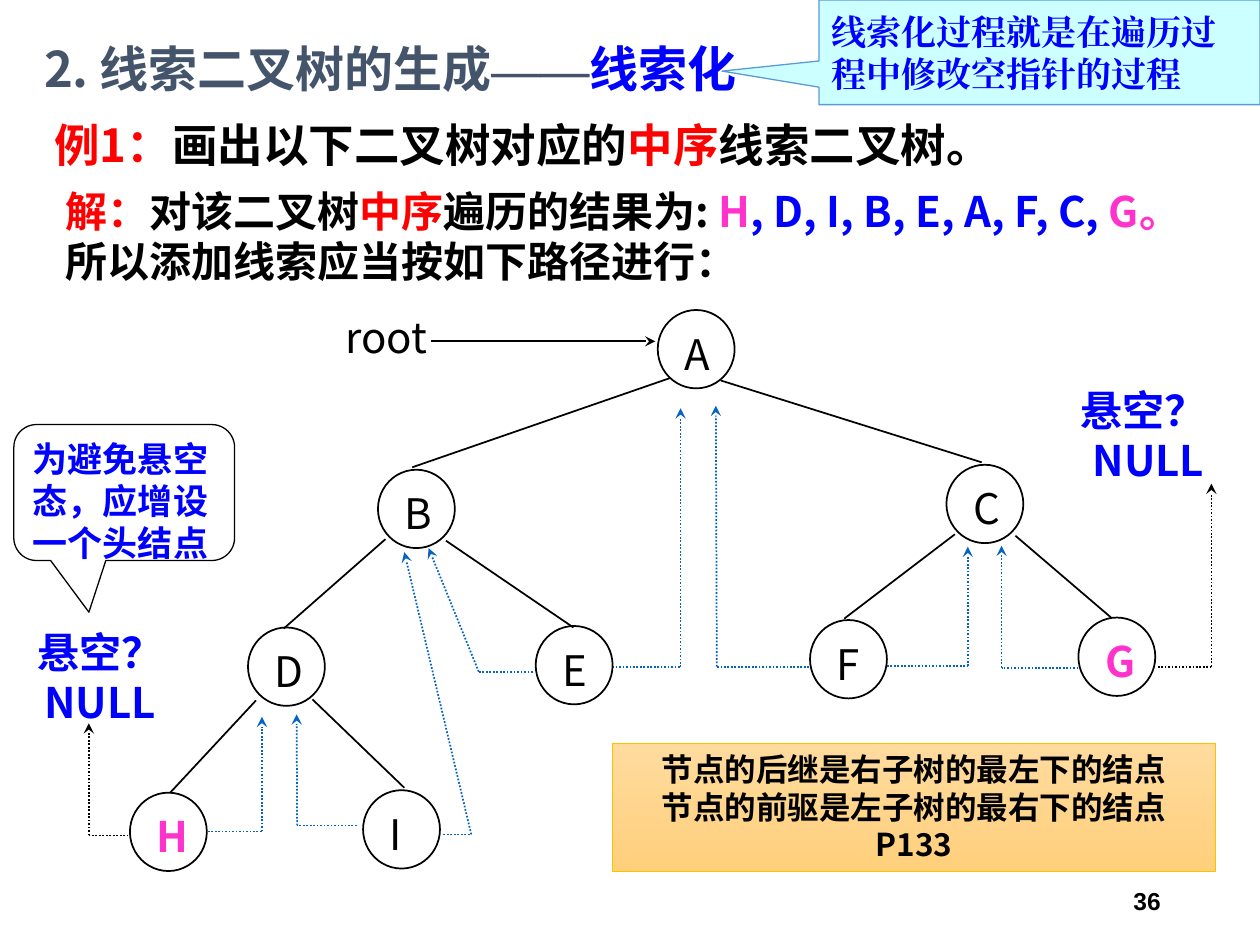
from dataclasses import dataclass

from lxml import etree
from pptx import Presentation
from pptx.dml.color import RGBColor
from pptx.enum.dml import MSO_LINE
from pptx.enum.shapes import MSO_CONNECTOR, MSO_SHAPE
from pptx.enum.text import MSO_ANCHOR, MSO_AUTO_SIZE, PP_ALIGN
from pptx.oxml.ns import qn
from pptx.util import Cm, Pt

STRAIGHT = MSO_CONNECTOR.STRAIGHT
DOTTED = MSO_LINE.ROUND_DOT
OVAL, RECTANGLE = MSO_SHAPE.OVAL, MSO_SHAPE.RECTANGLE
ROUND_CALLOUT = MSO_SHAPE.ROUNDED_RECTANGULAR_CALLOUT
RECT_CALLOUT = MSO_SHAPE.RECTANGULAR_CALLOUT
TOP, MIDDLE = MSO_ANCHOR.TOP, MSO_ANCHOR.MIDDLE
LEFT, CENTER, RIGHT = PP_ALIGN.LEFT, PP_ALIGN.CENTER, PP_ALIGN.RIGHT
FIT_SHAPE = MSO_AUTO_SIZE.SHAPE_TO_FIT_TEXT


@dataclass(frozen=True)
class Theme:
    black: str = "000000"
    white: str = "FFFFFF"
    red: str = "FF0000"
    blue: str = "0000FF"
    pink: str = "FF33CC"
    slate: str = "44546A"
    thread: str = "0563C1"
    aqua: str = "CCFFFF"
    aqua_edge: str = "5B9BD5"
    sand_light: str = "FFDB9E"
    sand_dark: str = "FFD07C"
    sand_edge: str = "FFC000"
    heading: int = 28
    example: int = 26
    body: int = 24
    callout: int = 20
    rule: int = 18
    number: int = 14
    sans: str = "Noto Sans CJK SC"
    serif: str = "Times New Roman"
    arial: str = "Arial"


theme = Theme()


def write(shape, paragraphs, size, align=LEFT, anchor=TOP, bold=True, font=theme.sans):
    """Fill a shape with paragraphs, each a list of (text, colour[, font]) runs."""
    frame = shape.text_frame
    frame.word_wrap = True
    frame.vertical_anchor = anchor
    for index, pieces in enumerate(paragraphs):
        paragraph = frame.paragraphs[0] if index == 0 else frame.add_paragraph()
        paragraph.alignment = align
        for text, color, *own_font in pieces:
            run = paragraph.add_run()
            run.text = text
            run.font.size, run.font.bold = Pt(size), bold
            run.font.color.rgb = RGBColor.from_string(color)
            run.font.name = own_font[0] if own_font else font
            east_asian = etree.SubElement(run.font._element, qn("a:ea"))
            east_asian.set("typeface", run.font.name)
    return frame


def connect(x1, y1, x2, y2, color=theme.black, dotted=False, arrow=False):
    connector = slide.shapes.add_connector(STRAIGHT, Cm(x1), Cm(y1), Cm(x2), Cm(y2))
    connector.line.color.rgb = RGBColor.from_string(color)
    connector.line.width = Pt(1)
    if dotted:
        connector.line.dash_style = DOTTED
    if arrow:
        etree.SubElement(connector.line._get_or_add_ln(), qn("a:tailEnd")).set("type", "stealth")
    etree.SubElement(connector._element.spPr, qn("a:effectLst"))


prs = Presentation()
prs.slide_width, prs.slide_height = Cm(25.4), Cm(19.05)
slide = prs.slides.add_slide(prs.slide_layouts[6])
shapes = slide.shapes

# Example question and slide number
question = shapes.add_textbox(Cm(0.84), Cm(2.34), Cm(21.59), Cm(1.27))
question_frame = write(question, [[
    ("例1：", theme.red), ("画出以下二叉树对应的", theme.black),
    ("中序", theme.red), ("线索二叉树。", theme.black),
]], theme.example, anchor=MIDDLE)
question_frame.paragraphs[0].line_spacing = 0.9

page = shapes.add_textbox(Cm(17.93), Cm(17.65), Cm(5.72), Cm(1.02))
write(page, [[("36", theme.black)]], theme.number, RIGHT, MIDDLE, font=theme.arial)

# Threads: start x, level y, turn x, tip x, tip y, colour
threads = [
    (8.94, 16.82, 9.5, 8.15, 11.13, theme.thread),     # I to B
    (10.74, 13.54, 9.65, 8.64, 11.05, theme.thread),   # E to B
    (7.19, 16.64, 5.99, 5.98, 14.4, theme.thread),     # I to D
    (4.19, 16.76, 5.28, 5.28, 14.45, theme.thread),    # H to D
    (16.31, 13.44, 14.45, 14.43, 8.18, theme.thread),  # F to A
    (21.74, 13.46, 20.19, 20.19, 11, theme.thread),    # G to C
    (12.34, 13.45, 13.72, 13.72, 8.23, theme.thread),  # E to A
    (17.88, 13.43, 19.51, 19.51, 11.02, theme.thread), # F to C
    (2.59, 16.84, 1.79, 1.79, 14.58, theme.black),     # H to NULL
    (23.34, 13.44, 24.42, 24.42, 9.75, theme.black),   # G to NULL
]
for start_x, level, turn_x, tip_x, tip_y, color in threads:
    connect(start_x, level, turn_x, level, color, dotted=True)
    connect(turn_x, level, tip_x, tip_y, color, dotted=True, arrow=True)

# Tree nodes, with the first and last in order marked in pink
nodes = {
    "A": (13.26, 6.25), "B": (7.62, 9.47), "C": (19.08, 9.37),
    "D": (5, 12.65), "E": (10.8, 12.62), "F": (16.33, 12.5),
    "G": (21.74, 12.45), "H": (2.62, 15.98), "I": (7.32, 15.93),
}
for letter, (x, y) in nodes.items():
    circle = shapes.add_shape(OVAL, Cm(x), Cm(y), Cm(1.55), Cm(1.58))
    circle.shadow.inherit = False
    circle.fill.background()
    circle.line.color.rgb = RGBColor.from_string(theme.black)
    circle.line.width = Pt(1)
    label = shapes.add_textbox(Cm(x + 0.29), Cm(y + 0.24), Cm(0.94), Cm(1.3))
    is_end = letter in "HG"
    label_frame = write(label, [[(letter, theme.pink if is_end else theme.black)]],
                        theme.body, bold=is_end)
    label_frame.word_wrap = False
    label_frame.auto_size = FIT_SHAPE

# Tree branches
branches = [
    (13.51, 7.62, 8.31, 9.42), (14.53, 7.67, 19.79, 9.32),
    (7.77, 10.87, 5.72, 12.67), (8.99, 10.9, 11.56, 12.65),
    (19.25, 10.77, 17.02, 12.47), (20.47, 10.8, 22.4, 12.45),
    (5.16, 14.12, 3.43, 15.98), (6.3, 14.1, 8.15, 15.88),
]
for branch in branches:
    connect(*branch)

# Root pointer
connect(8.69, 6.88, 13.21, 6.88, arrow=True)
root = shapes.add_textbox(Cm(6.71), Cm(6.15), Cm(2.24), Cm(1.3))
root_frame = write(root, [[("root", theme.black)]], theme.body, bold=False)
root_frame.word_wrap = False

# Dangling ends
for x, y, width in [(0.43, 12.5, 3.18), (20.9, 7.62, 4.5)]:
    dangling = shapes.add_textbox(Cm(x), Cm(y), Cm(width), Cm(2.31))
    write(dangling, [[("悬空？ ", theme.blue)], [("NULL", theme.blue)]], theme.body, CENTER)

# Answer
answer = shapes.add_textbox(Cm(1.07), Cm(3.61), Cm(23.7), Cm(2.31))
write(answer, [[
    ("解：", theme.red), ("对该二叉树", theme.black), ("中序", theme.red),
    ("遍历的结果为: ", theme.black), ("H", theme.pink),
    (", D, I, B, E, A, F, C,", theme.blue), (" G。", theme.pink),
    ("所以添加线索应当按如下路径进行：", theme.black),
]], theme.body)

# Heading
heading = shapes.add_textbox(Cm(0.64), Cm(0.64), Cm(15.44), Cm(1.47))
write(heading, [[
    ("2. 线索二叉树的生成", theme.slate), ("——", theme.slate, theme.serif),
    ("线索化", theme.blue),
]], theme.heading, anchor=MIDDLE)

# Callouts: preset, box, pointer, fill, edge, text, anchor, font
callouts = [
    (ROUND_CALLOUT, (0.28, 8.56, 4.45, 2.74), (-0.16, 0.88), theme.white, theme.black,
     "为避免悬空态，应增设一个头结点", TOP, theme.sans),
    (RECT_CALLOUT, (16.51, 0, 8.89, 2.11), (-0.72, 0.18), theme.aqua, theme.aqua_edge,
     "线索化过程就是在遍历过程中修改空指针的过程", MIDDLE, theme.serif),
]
for preset, box, pointer, fill, edge, text, anchor, font in callouts:
    callout = shapes.add_shape(preset, *map(Cm, box))
    callout.shadow.inherit = False
    callout.adjustments[0], callout.adjustments[1] = pointer
    callout.fill.solid()
    callout.fill.fore_color.rgb = RGBColor.from_string(fill)
    callout.line.color.rgb = RGBColor.from_string(edge)
    callout.line.width = Pt(0.75)
    write(callout, [[(text, theme.blue)]], theme.callout, anchor=anchor, font=font)

# Rule for successor and predecessor
rule = shapes.add_shape(RECTANGLE, Cm(12.34), Cm(14.99), Cm(12.17), Cm(2.57))
rule.shadow.inherit = False
rule.fill.gradient()
rule.fill.gradient_angle = 270
for stop, color in zip(rule.fill.gradient_stops, (theme.sand_light, theme.sand_dark)):
    stop.color.rgb = RGBColor.from_string(color)
rule.line.color.rgb = RGBColor.from_string(theme.sand_edge)
rule.line.width = Pt(0.5)
rule_lines = ["节点的后继是右子树的最左下的结点", "节点的前驱是左子树的最右下的结点", "P133"]
write(rule, [[(text, theme.black)] for text in rule_lines], theme.rule, CENTER)

prs.save("out.pptx")
